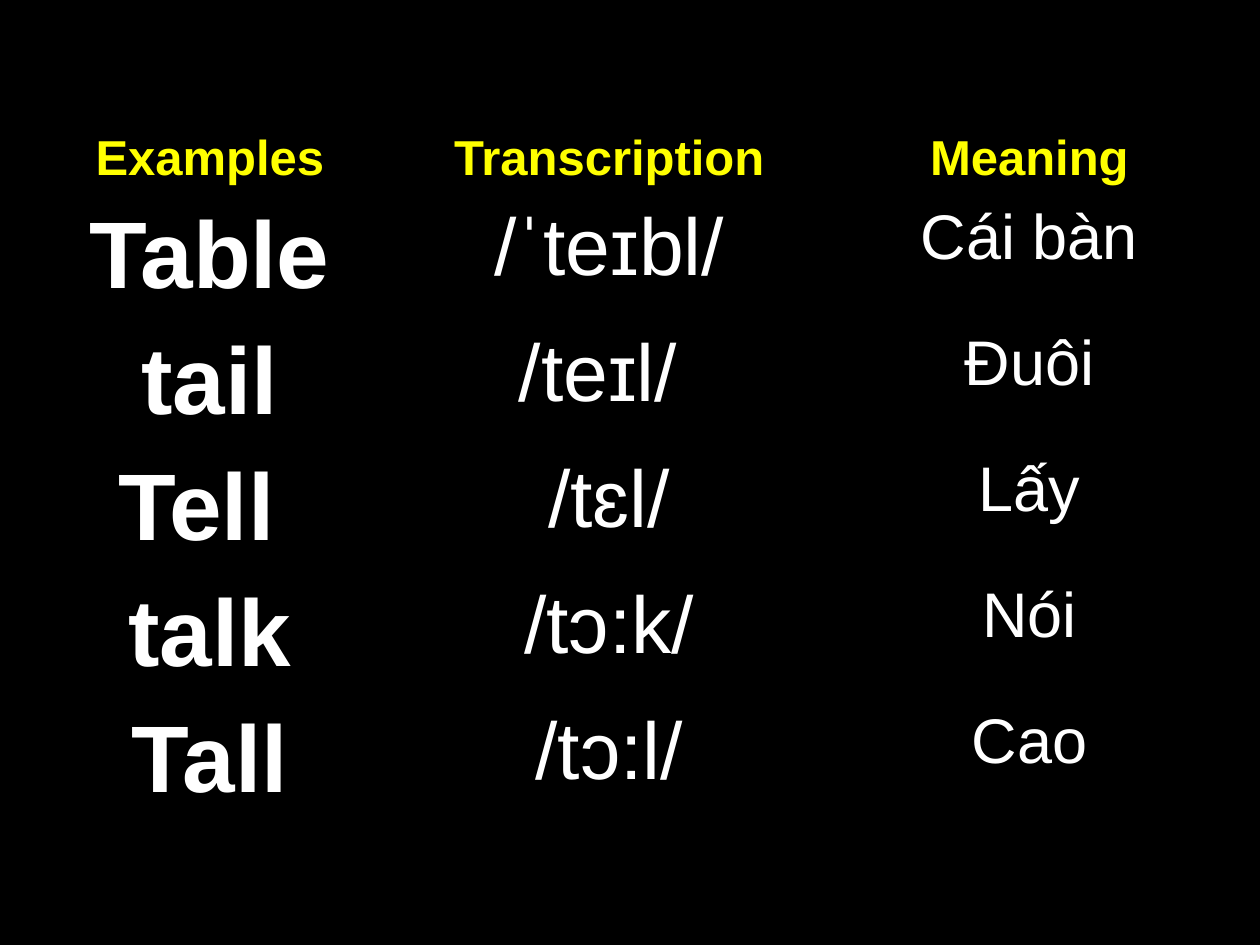
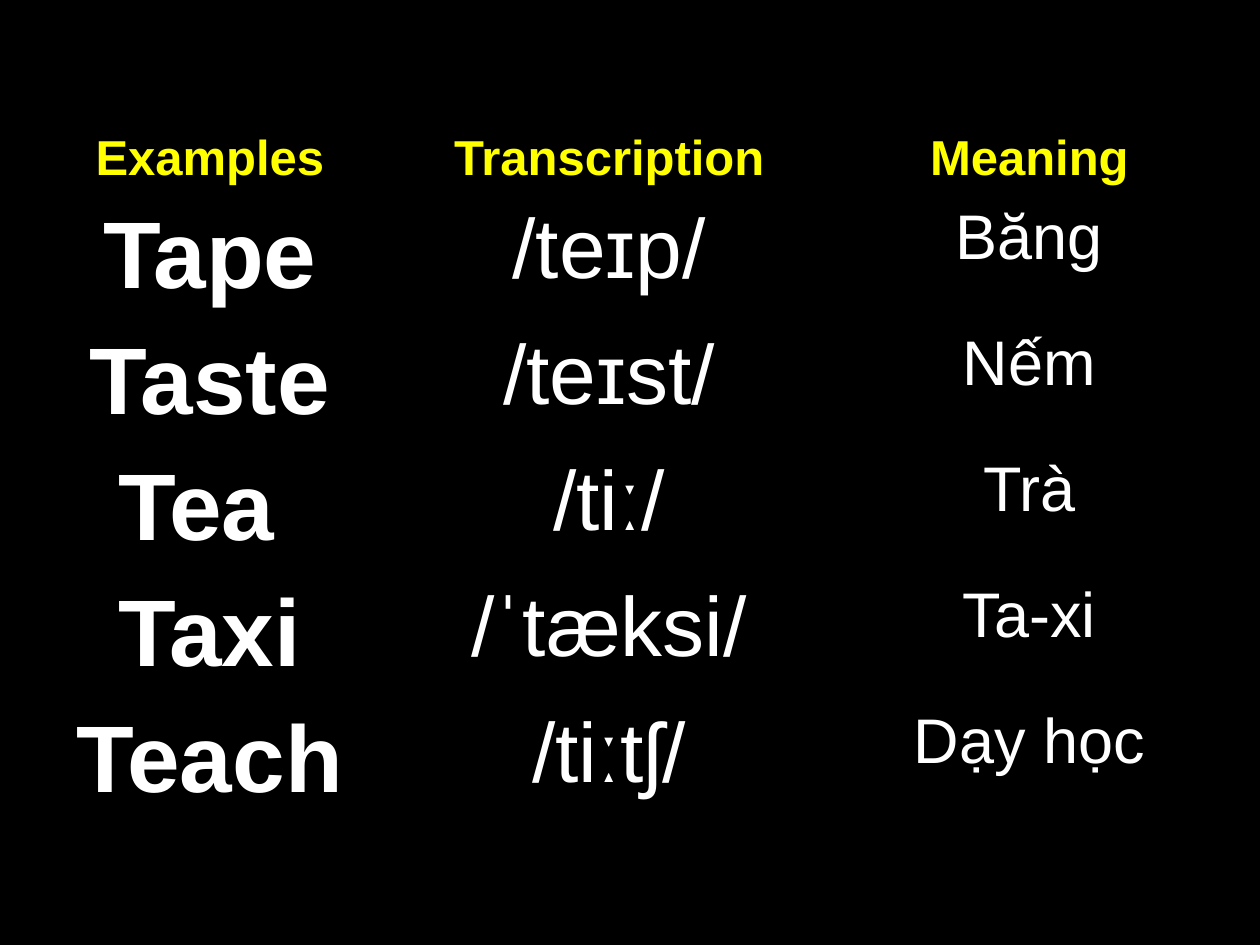
from lxml import etree
from pptx import Presentation
from pptx.dml.color import RGBColor
from pptx.enum.text import PP_ALIGN
from pptx.oxml.ns import qn
from pptx.util import Inches, Pt

CENTER = PP_ALIGN.CENTER

# Content
HEADS = ("Examples", "Transcription", "Meaning")
SLIDES = [
    {"size": 46, "words": [
        ("Table", "/ˈteɪbl/", "Cái bàn"),
        ("tail", "/teɪl/ ", "Đuôi"),
        ("Tell ", "/tɛl/", "Lấy"),
        ("talk", "/tɔ:k/", "Nói"),
        ("Tall", "/tɔ:l/", "Cao"),
    ]},
    {"size": 48, "words": [
        ("Tape", "/teɪp/", "Băng"),
        ("Taste", "/teɪst/", "Nếm"),
        ("Tea ", "/tiː/", "Trà"),
        ("Taxi", "/ˈtæksi/", "Ta-xi"),
        ("Teach", "/tiːtʃ/", "Dạy học"),
    ]},
]

# Shared style
FONT = "Arial"
BLACK, WHITE, YELLOW = "000000", "FFFFFF", "FFFF00"
TOP, WIDTH = 0.99, 10
COLS = (3.33, 3.01, 3.66)
HEAD_H, WORD_H = 0.57, 1
THIN, THICK = 0.45, 1.47


def paint(fill, color):
    fill.solid()
    fill.fore_color.rgb = RGBColor.from_string(color)


def border(cell, row):
    """Thin black edges, with a thicker rule between head and words."""
    widths = {
        "lnL": THIN,
        "lnR": THIN,
        "lnT": THICK if row == 1 else THIN,
        "lnB": THICK if row == 0 else THIN,
    }
    props = cell._tc.get_or_add_tcPr()
    for spot, (tag, width) in enumerate(widths.items()):
        line = etree.Element(qn("a:" + tag), w=str(Pt(width)))
        solid = etree.SubElement(line, qn("a:solidFill"))
        etree.SubElement(solid, qn("a:srgbClr"), val=BLACK)
        props.insert(spot, line)


def write(cell, text, size, color, bold):
    para = cell.text_frame.paragraphs[0]
    para.alignment = CENTER
    run = para.add_run()
    run.text = text
    font = run.font
    font.name, font.size, font.bold = FONT, Pt(size), bold
    font.color.rgb = RGBColor.from_string(color)


def add_words(deck, words, size):
    slide = deck.slides.add_slide(deck.slide_layouts[6])
    paint(slide.background.fill, BLACK)

    # Table grid
    rows = [HEADS, *words]
    tall = HEAD_H + WORD_H * len(words)
    table = slide.shapes.add_table(
        len(rows), len(COLS), 0, Inches(TOP), Inches(WIDTH), Inches(tall)).table
    table.horz_banding = False
    for col, width in zip(table.columns, COLS):
        col.width = Inches(width)
    for r, row in enumerate(table.rows):
        row.height = Inches(WORD_H if r else HEAD_H)

    # Cells: yellow head, then bold word, sound and meaning
    sizes = (54, size, 36)
    for r, texts in enumerate(rows):
        for c, text in enumerate(texts):
            cell = table.cell(r, c)
            paint(cell.fill, BLACK)
            border(cell, r)
            if r == 0:
                write(cell, text, 28, YELLOW, True)
            else:
                write(cell, text, sizes[c], WHITE, c == 0)


def main():
    deck = Presentation()
    deck.slide_width, deck.slide_height = Inches(WIDTH), Inches(7.5)
    for page in SLIDES:
        add_words(deck, page["words"], page["size"])
    deck.save("out.pptx")


if __name__ == "__main__":
    main()
